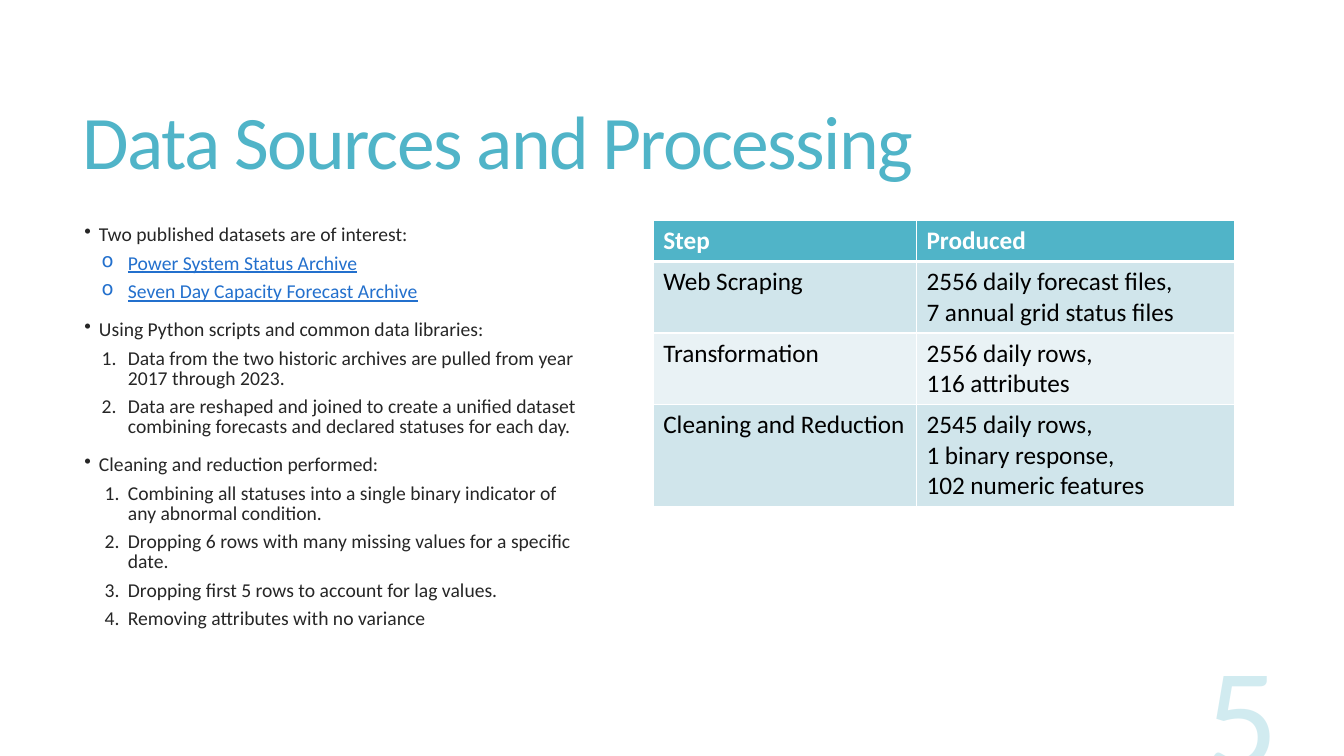
from dataclasses import dataclass

from lxml.etree import SubElement
from pptx import Presentation
from pptx.dml.color import RGBColor
from pptx.enum.text import MSO_ANCHOR, PP_ALIGN
from pptx.oxml.ns import qn
from pptx.util import Pt


@dataclass(frozen=True)
class Theme:
    font: str = "Calibri"
    accent: str = "50B4C8"
    body: str = "262626"
    link: str = "2370CD"
    white: str = "FFFFFF"
    black: str = "000000"
    bands: tuple = ("D0E5EB", "E9F2F5")
    title_size: float = 54
    body_size: float = 14
    table_size: float = 18
    number_size: float = 103


theme = Theme()


def add_span(para, text, size, color):
    span = para.add_run()
    span.text = text
    span.font.name = theme.font
    span.font.size = Pt(size)
    span.font.color.rgb = RGBColor.from_string(color)
    return span


def add_text_frame(page, left, top, width, height, anchor):
    frame = page.shapes.add_textbox(Pt(left), Pt(top), Pt(width), Pt(height)).text_frame
    frame.word_wrap = True
    frame.vertical_anchor = anchor
    return frame


deck = Presentation()
deck.slide_width, deck.slide_height = Pt(960), Pt(540)
page = deck.slides.add_slide(deck.slide_layouts[6])

# Title
title = add_text_frame(page, 52, 39.5, 848, 130.5, MSO_ANCHOR.MIDDLE).paragraphs[0]
title.line_spacing = 0.85
span = add_span(title, "Data Sources and Processing", theme.title_size, theme.accent)
span.font._element.set("spc", "-120")

# Outline: each level has margin, hanging indent, space before, bullet tag and value, color
levels = {
    "point": (7.2, 7.2, 13, "a:buChar", "char", "•", theme.body),
    "link": (31, 18.7, 6, "a:buChar", "char", "o", theme.link),
    "step": (31, 18.7, 6, "a:buAutoNum", "type", "arabicPeriod", theme.body),
    "substep": (31, 16.6, 6, "a:buAutoNum", "type", "arabicPeriod", theme.body),
}
outline = [
    ("point", " Two published datasets are of interest:"),
    ("link", "Power System Status Archive"),
    ("link", "Seven Day Capacity Forecast Archive"),
    ("point", " Using Python scripts and common data libraries:"),
    ("step", "Data from the two historic archives are pulled from year 2017 through 2023."),
    ("step", "Data are reshaped and joined to create a unified dataset combining "
             "forecasts and declared statuses for each day."),
    ("point", " Cleaning and reduction performed:"),
    ("substep", "Combining all statuses into a single binary indicator of any abnormal condition."),
    ("substep", "Dropping 6 rows with many missing values for a specific date."),
    ("substep", "Dropping first 5 rows to account for lag values."),
    ("substep", "Removing attributes with no variance"),
]
body = add_text_frame(page, 53.3, 157.7, 367.2, 296.6, MSO_ANCHOR.TOP)
for index, (level, text) in enumerate(outline):
    margin, hanging, space, tag, key, value, color = levels[level]
    para = body.add_paragraph() if index else body.paragraphs[0]
    para.level = 0 if level == "point" else 1
    para.line_spacing = 0.85
    para.space_before = Pt(space)
    properties = para._p.get_or_add_pPr()
    properties.set("marL", str(Pt(margin)))
    properties.set("indent", str(-Pt(hanging)))
    SubElement(properties, qn(tag)).set(key, value)
    span = add_span(para, text, theme.body_size, color)
    span.font.underline = level == "link"

# Table: a cell is a list of paragraphs, "\n" breaks a line
rows = [
    (["Step"], ["Produced"]),
    (["Web Scraping"], ["2556 daily forecast files,\n7 annual grid status files"]),
    (["Transformation"], ["2556 daily rows,", "116 attributes"]),
    (["Cleaning and Reduction"],
     ["2545 daily rows,", "1 binary response,", "102 numeric features"]),
]
row_heights = (29.2, 51, 51, 73)
column_widths = (188, 227.5)
table = page.shapes.add_table(
    len(rows), len(column_widths), Pt(466.6), Pt(157.7),
    Pt(sum(column_widths)), Pt(sum(row_heights))).table
for column, width in zip(table.columns, column_widths):
    column.width = Pt(width)
for r, row in enumerate(rows):
    table.rows[r].height = Pt(row_heights[r])
    fill = theme.bands[(r - 1) % 2] if r else theme.accent
    for c, paragraphs in enumerate(row):
        cell = table.cell(r, c)
        for index, text in enumerate(paragraphs):
            para = cell.text_frame.add_paragraph() if index else cell.text_frame.paragraphs[0]
            for number, line in enumerate(text.split("\n")):
                if number:
                    para.add_line_break()
                span = add_span(para, line, theme.table_size, theme.black if r else theme.white)
                span.font.bold = r == 0
        borders = cell._tc.get_or_add_tcPr()
        for side in "LRTB":
            thick = (r, side) in ((0, "B"), (1, "T"))
            border = SubElement(borders, qn(f"a:ln{side}"), w=str(Pt(3 if thick else 1)))
            paint = SubElement(border, qn("a:solidFill"))
            SubElement(paint, qn("a:srgbClr"), val=theme.white)
        cell.fill.solid()
        cell.fill.fore_color.rgb = RGBColor.from_string(fill)

# Page number
number = add_text_frame(page, 689.8, 463, 230.4, 110.2, MSO_ANCHOR.BOTTOM).paragraphs[0]
number.alignment = PP_ALIGN.RIGHT
span = add_span(number, "5", theme.number_size, theme.accent)
tint = span.font._element.find(".//" + qn("a:srgbClr"))
SubElement(tint, qn("a:alpha"), val="25000")

deck.save("out.pptx")
